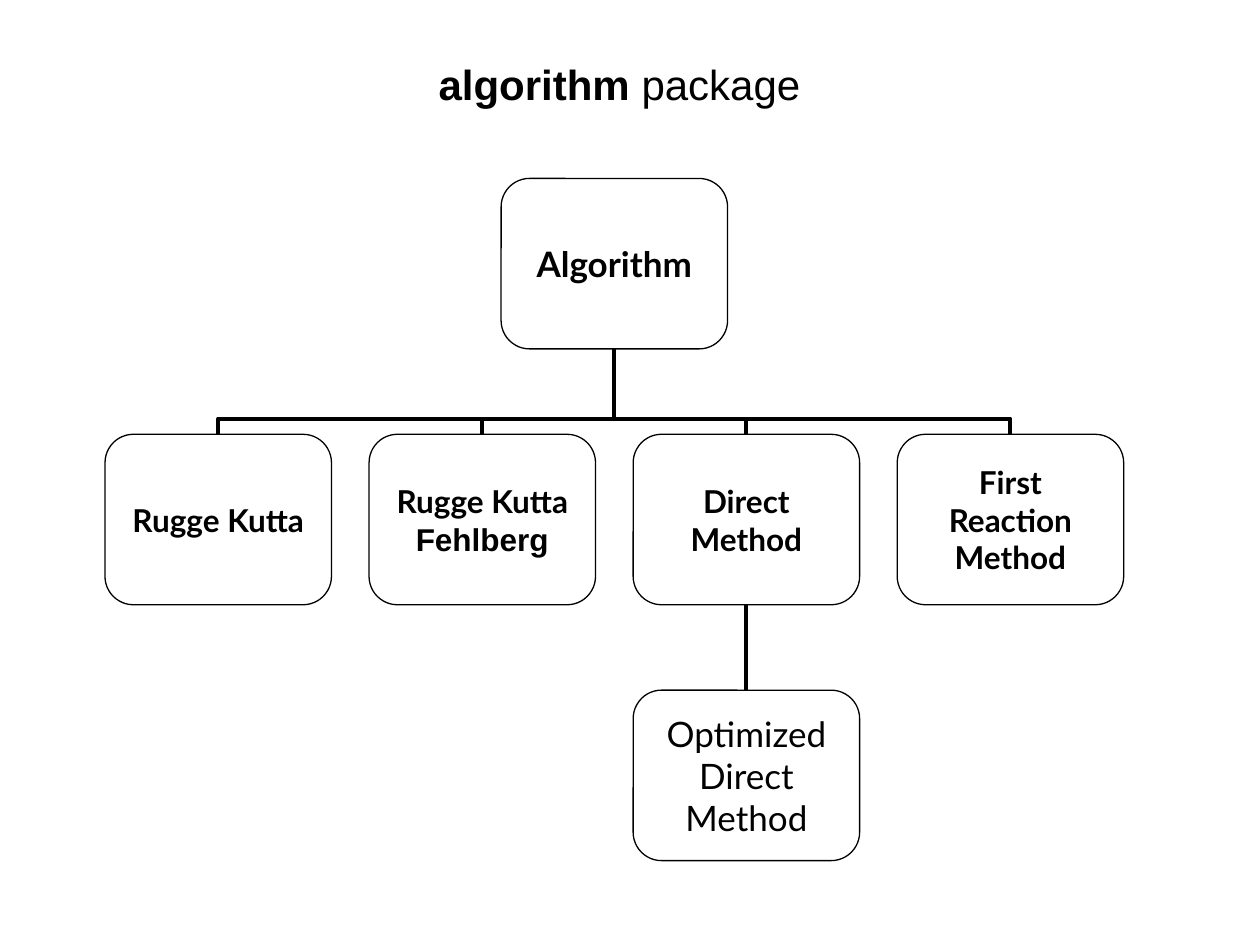
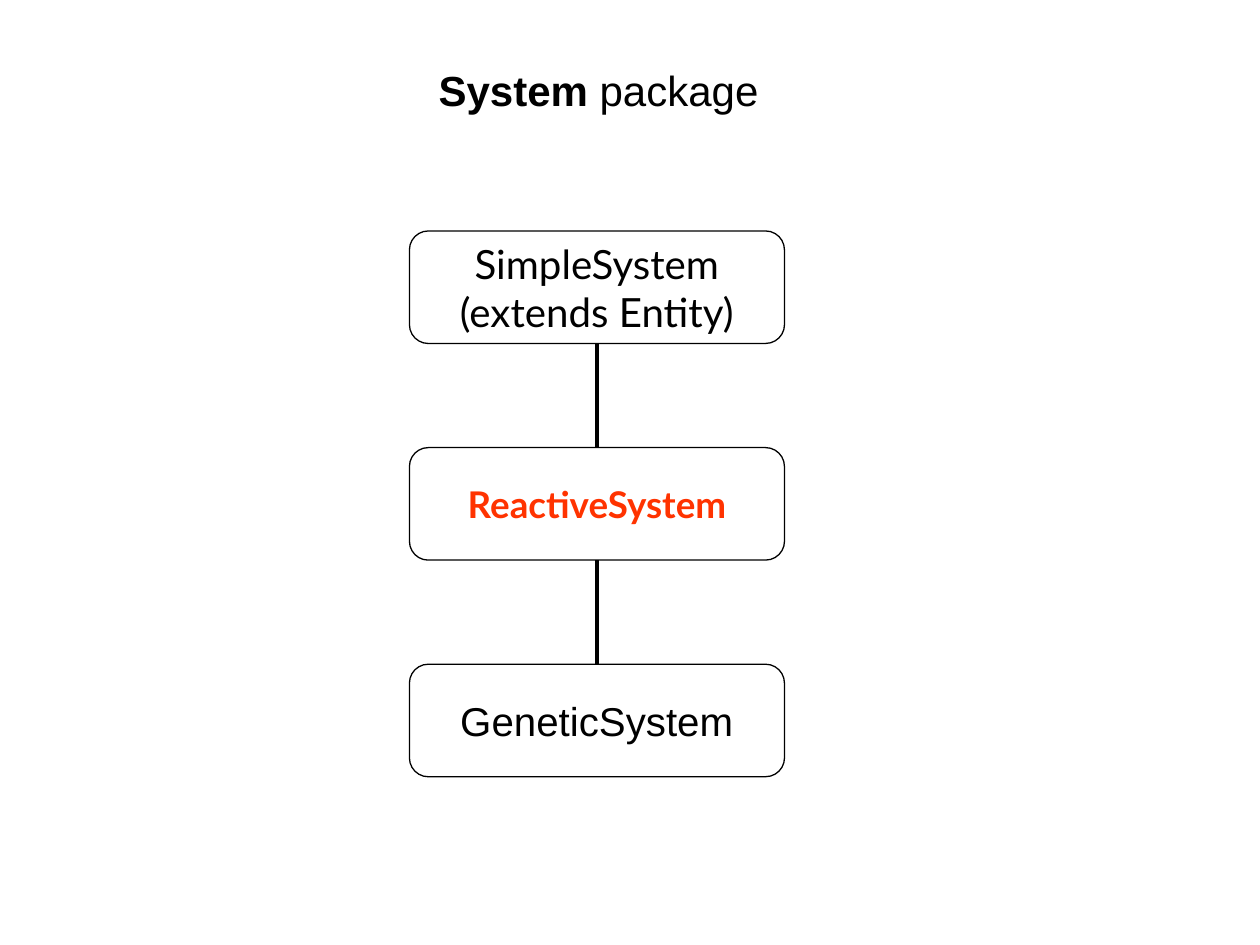
import pptx
import pptx.util
import pptx.dml.color
import pptx.enum.shapes
import pptx.enum.text
import pptx.oxml

Pt = pptx.util.Pt
CONNECTOR = pptx.enum.shapes.MSO_CONNECTOR
BLACK, RED = "000000", "FF3300"
BEND = 0.184
DRAWING = 'xmlns:a="http://schemas.openxmlformats.org/drawingml/2006/main"'

STYLES = {
    "root": {"name": "Lato", "size": Pt(20), "bold": True},
    "method": {"name": "Lato", "size": Pt(18), "bold": True},
    "method plain font": {"name": "Arial", "size": Pt(18), "bold": True},
    "variant": {"name": "Lato", "size": Pt(20), "bold": False},
    "system": {"name": "Lato", "size": Pt(23), "bold": False},
    "highlight": {"name": "Lato", "size": Pt(21), "bold": True},
    "system plain font": {"name": "Arial", "size": Pt(23), "bold": False},
}
COLOURS = {"highlight": RED}

DIAGRAMS = [
    {
        "title": ("algorithm", " package"),
        "title_box": (30, 18, 648, 60),
        "grid": {"left": 60, "top": 102, "width": 129.4, "height": 97.4,
                 "column_step": 150.9, "row_step": 146.2},
        "boxes": {
            "algorithm": (1.5, 0, [("Algorithm", "root")]),
            "runge": (0, 1, [("Rugge Kutta", "method")]),
            "fehlberg": (1, 1, [("Rugge Kutta", "method"), ("Fehlberg", "method plain font")]),
            "direct": (2, 1, [("Direct", "method"), ("Method", "method")]),
            "first": (3, 1, [("First", "method"), ("Reaction", "method"), ("Method", "method")]),
            "optimized": (2, 2, [("Optimized", "variant"), ("Direct", "variant"),
                                 ("Method", "variant")]),
        },
        "links": {"algorithm": ["runge", "fehlberg", "direct", "first"],
                  "direct": ["optimized"]},
    },
    {
        "title": ("System", " package"),
        "title_box": (18, 6, 648, 90),
        "grid": {"left": 234, "top": 132, "width": 214.3, "height": 64.3,
                 "column_step": 0, "row_step": 123.8},
        "boxes": {
            "simple": (0, 0, [("SimpleSystem", "system"), ("(extends Entity)", "system")]),
            "reactive": (0, 1, [("ReactiveSystem", "highlight")]),
            "genetic": (0, 2, [("GeneticSystem", "system plain font")]),
        },
        "links": {"simple": ["reactive"], "reactive": ["genetic"]},
    },
]


def colour(value):
    return pptx.dml.color.RGBColor.from_string(value)


def set_values(target, values):
    for name, value in values.items():
        setattr(target, name, value)


def add_run(paragraph, text, values, hex_colour=BLACK):
    run = paragraph.add_run()
    run.text = text
    set_values(run.font, values)
    run.font.color.rgb = colour(hex_colour)


def add_title(slide, words, box):
    title = slide.shapes.title
    set_values(title, dict(zip(("left", "top", "width", "height"), map(Pt, box))))
    set_values(title.text_frame, {
        "auto_size": pptx.enum.text.MSO_AUTO_SIZE.NONE,
        "vertical_anchor": pptx.enum.text.MSO_ANCHOR.MIDDLE,
    })
    paragraph = title.text_frame.paragraphs[0]
    paragraph.alignment = pptx.enum.text.PP_ALIGN.CENTER
    for word, bold in zip(words, (True, False)):
        add_run(paragraph, word, {"name": "Arial", "size": Pt(24), "bold": bold})


def add_box(slide, grid, column, row, lines):
    shape = slide.shapes.add_shape(
        pptx.enum.shapes.MSO_SHAPE.ROUNDED_RECTANGLE,
        Pt(grid["left"] + column * grid["column_step"]),
        Pt(grid["top"] + row * grid["row_step"]),
        Pt(grid["width"]), Pt(grid["height"]))
    shape.shadow.inherit = False
    shape.fill.background()
    shape.line.color.rgb = colour(BLACK)
    shape.line.width = Pt(0.75)
    frame = shape.text_frame
    set_values(frame, {
        "margin_left": 0, "margin_top": 0, "margin_right": 0, "margin_bottom": 0,
        "word_wrap": False, "vertical_anchor": pptx.enum.text.MSO_ANCHOR.MIDDLE,
    })
    for index, (text, style) in enumerate(lines):
        paragraph = frame.add_paragraph() if index else frame.paragraphs[0]
        paragraph.alignment = pptx.enum.text.PP_ALIGN.CENTER
        add_run(paragraph, text, STYLES[style], COLOURS.get(style, BLACK))
    return shape


def add_line(slide, kind, start, end):
    connector = slide.shapes.add_connector(kind, *start, *end)
    connector.line.color.rgb = colour(BLACK)
    connector.line.width = Pt(2.25)
    connector.element.spPr.append(pptx.oxml.parse_xml(f"<a:effectLst {DRAWING}/>"))
    return connector


def add_branch(slide, child_point, parent_point):
    (child_x, child_y), (parent_x, parent_y) = child_point, parent_point
    centre_x, centre_y = (child_x + parent_x) // 2, (child_y + parent_y) // 2
    half_rise, half_run = (child_y - parent_y) // 2, abs(child_x - parent_x) // 2
    side = 1 if child_x < parent_x else -1
    connector = add_line(
        slide, CONNECTOR.ELBOW,
        (centre_x + side * half_rise, centre_y + half_run),
        (centre_x - side * half_rise, centre_y - half_run))
    properties = connector.element.spPr
    properties.xfrm.rot = 90 if side == 1 else 270
    properties.xpath("a:prstGeom/a:avLst")[0].append(pptx.oxml.parse_xml(
        f'<a:gd {DRAWING} name="adj1" fmla="val {round(BEND * 100000)}"/>'))


def link(slide, parent, child):
    parent_point = parent.left + parent.width // 2, parent.top + parent.height
    child_point = child.left + child.width // 2, child.top
    if parent.left != child.left:
        add_branch(slide, child_point, parent_point)
        return
    connector = add_line(slide, CONNECTOR.STRAIGHT, child_point, parent_point)
    connector.begin_connect(child, 0)
    connector.end_connect(parent, 2)


def main():
    presentation = pptx.Presentation()
    set_values(presentation, {"slide_width": Pt(720), "slide_height": Pt(540)})
    for diagram in DIAGRAMS:
        slide = presentation.slides.add_slide(presentation.slide_layouts.get_by_name("Title Only"))
        add_title(slide, diagram["title"], diagram["title_box"])
        boxes = {name: add_box(slide, diagram["grid"], *box)
                 for name, box in diagram["boxes"].items()}
        for parent, children in diagram["links"].items():
            for child in children:
                link(slide, boxes[parent], boxes[child])
    presentation.save("out.pptx")


if __name__ == "__main__":
    main()
